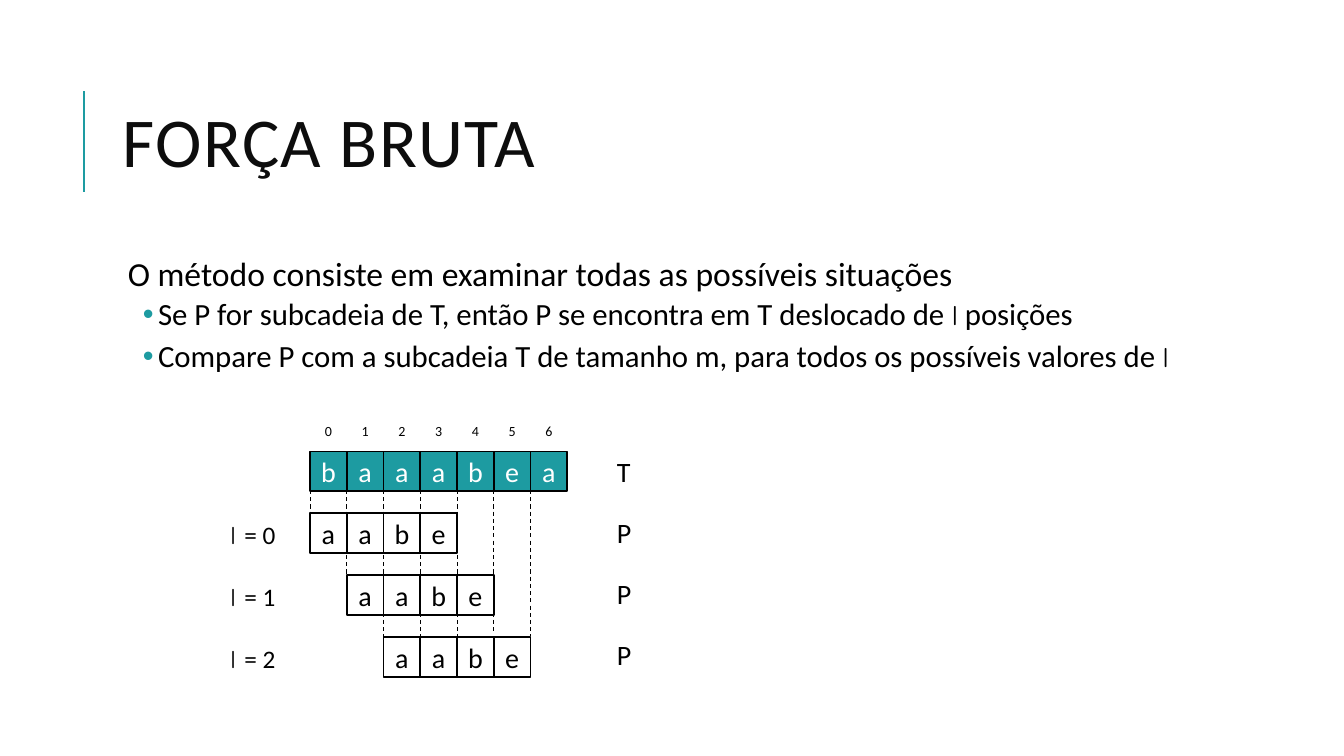
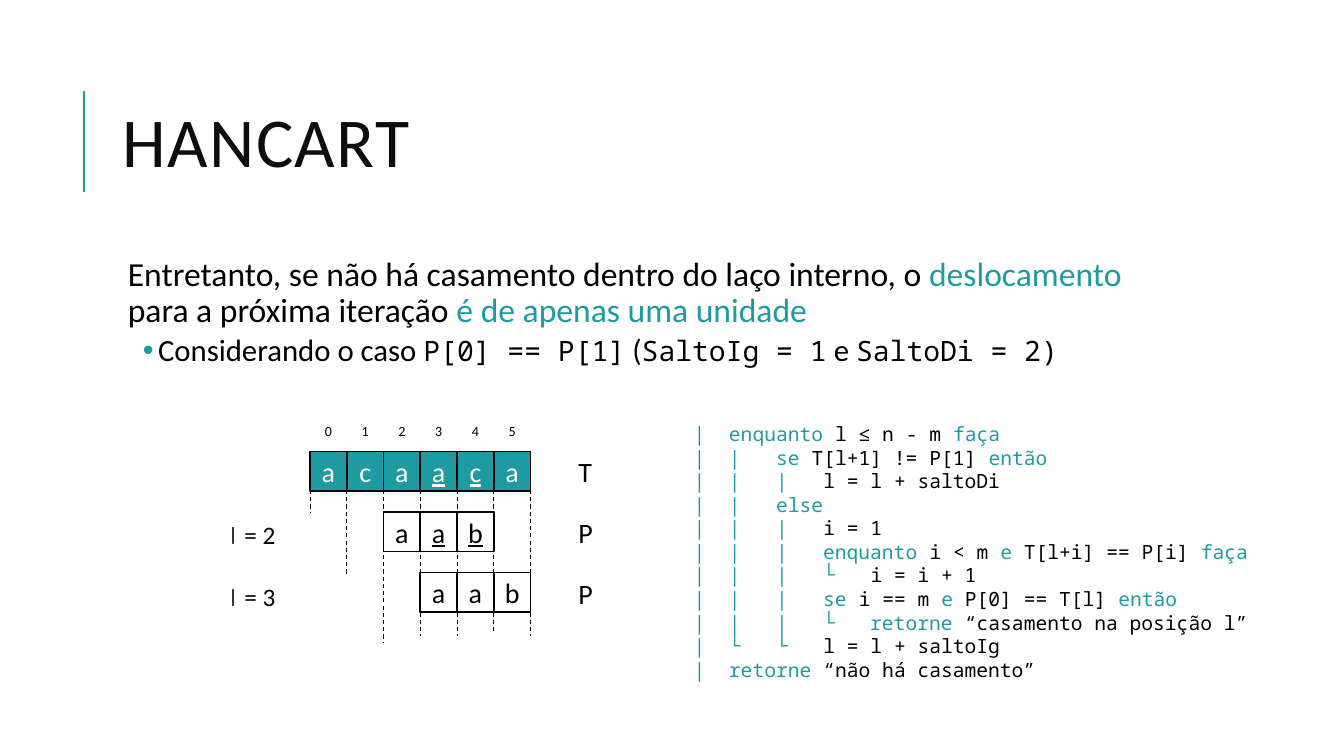
from dataclasses import dataclass

from lxml.etree import SubElement
from pptx import Presentation
from pptx.dml.color import RGBColor
from pptx.enum.dml import MSO_LINE
from pptx.enum.shapes import MSO_CONNECTOR, MSO_SHAPE
from pptx.enum.text import MSO_ANCHOR, MSO_AUTO_SIZE, PP_ALIGN
from pptx.oxml.ns import qn
from pptx.util import Pt

# Colours and fonts
TEAL = RGBColor(0x1D, 0x9B, 0xA1)
BLACK = RGBColor(0, 0, 0)
TITLE_BLACK = RGBColor(0x0D, 0x0D, 0x0D)
WHITE = RGBColor(0xFF, 0xFF, 0xFF)
SANS, COMIC, MONO = "Calibri", "Comic Neue", "Noto Sans Mono"

# Styles of marked words
SHIFT_STYLE = dict(font=COMIC, size=20)
CODE_STYLE = dict(font=MONO, size=20)
ACCENT_STYLE = dict(color=TEAL)

# Diagram grid, in points
GRID_LEFT, GRID_TOP = 221.5, 322.5
COLUMN_PITCH = 26.25
CELL_HEIGHT = 28.25
GUIDE_TOP = 350
GUIDE_ENDS = (366.5, 411, 459.5, 454.5, 454.5, 453, 454.5)

CODE_LINES = (
    "~ |  enquanto~ l ≤ n - m ~faça",
    "~ |  |   se~ T[l+1] != P[1] ~então",
    "~ |  |   |   ~l = l + saltoDi",
    "~ |  |   else",
    "~ |  |   |   ~i = 1",
    "~ |  |   |   enquanto ~i < m ~e~ T[l+i] == P[i] ~faça",
    "~ |  |   |   └   ~i = i + 1",
    "~ |  |   |   se~ i == m ~e~ P[0] == T[l] ~então",
    "~ |  |   |   └   retorne~ “casamento na posição l”",
    "~ |  └   └   ~l = l + saltoIg",
    "~ |  retorne ~“não há casamento”",
)


@dataclass
class Row:
    letters: str
    shift: int = 0
    underlined: tuple = ()


# Text
def add_span(para, text, size=20, font=SANS, color=BLACK, underline=None, spacing=None):
    span = para.add_run()
    span.text = text
    span.font.size = Pt(size)
    span.font.name = font
    span.font.color.rgb = color
    span.font.underline = underline
    if spacing is not None:
        span.font._element.set("spc", str(spacing))


def add_marked_text(para, text, plain, marked):
    """Write text whose parts between tildes take the marked style."""
    for index, part in enumerate(text.split("~")):
        if part:
            add_span(para, part, **(plain | marked if index % 2 else plain))


def get_para(frame, index):
    return frame.add_paragraph() if index else frame.paragraphs[0]


def set_list_format(para, level):
    para.level = level
    properties = para._p.get_or_add_pPr()
    properties.set("marL", str(Pt(28.8 if level else 7.2)))
    properties.set("indent", str(Pt(-10.8 if level else 0)))
    para.line_spacing = 0.9
    para.space_before = Pt(2 if level else 0)
    para.space_after = Pt(4 if level else 2)
    if level:
        bullet_color = SubElement(properties, qn("a:buClr"))
        SubElement(bullet_color, qn("a:srgbClr"), val=str(TEAL))
        SubElement(properties, qn("a:buChar"), char="•")
    else:
        SubElement(properties, qn("a:buNone"))


def add_text_box(slide, left, top, width, height):
    box = slide.shapes.add_textbox(Pt(left), Pt(top), Pt(width), Pt(height))
    box.text_frame.word_wrap = True
    return box.text_frame


# Lines and cells
def add_line(slide, start, end, color, width, dash=None):
    line = slide.shapes.add_connector(
        MSO_CONNECTOR.STRAIGHT, *(Pt(value) for value in start + end))
    line.line.color.rgb = color
    line.line.width = Pt(width)
    if dash:
        line.line.dash_style = dash
    SubElement(line._element.spPr, qn("a:effectLst"))
    return line


def add_cell(slide, left, top, letter, fill, color, underline):
    cell = slide.shapes.add_shape(
        MSO_SHAPE.RECTANGLE, Pt(left), Pt(top), Pt(COLUMN_PITCH), Pt(CELL_HEIGHT))
    cell.shadow.inherit = False
    cell.fill.solid()
    cell.fill.fore_color.rgb = fill
    cell.line.color.rgb = BLACK
    cell.line.width = Pt(1.25)
    frame = cell.text_frame
    frame.margin_left = frame.margin_right = 0
    frame.margin_top = frame.margin_bottom = 0
    frame.vertical_anchor = MSO_ANCHOR.MIDDLE
    frame.paragraphs[0].alignment = PP_ALIGN.CENTER
    add_span(frame.paragraphs[0], letter, color=color, underline=underline)


# Matching diagram: text on top, shifted pattern below
def add_diagram(slide, rows, row_pitch, tag_left):
    for column, end in enumerate(GUIDE_ENDS):
        x = GRID_LEFT + column * COLUMN_PITCH
        add_line(slide, (x, GUIDE_TOP), (x, end), BLACK, 0.75, MSO_LINE.DASH)

    for column in range(len(rows[0].letters)):
        frame = add_text_box(
            slide, GRID_LEFT + column * COLUMN_PITCH, 298.5, COLUMN_PITCH, 19.5)
        frame.paragraphs[0].alignment = PP_ALIGN.CENTER
        add_span(frame.paragraphs[0], str(column), size=10)

    for index, row in enumerate(rows):
        fill, color = (WHITE, BLACK) if index else (TEAL, WHITE)
        for column, letter in enumerate(row.letters, row.shift):
            add_cell(slide, GRID_LEFT + column * COLUMN_PITCH,
                     GRID_TOP + index * row_pitch, letter, fill, color,
                     True if column in row.underlined else None)

        tag = add_text_box(slide, tag_left, 321 + index * 43.5, 40, 31.5)
        add_span(tag.paragraphs[0], "P" if index else "T")
        if index:
            label = add_text_box(slide, 157.5, 322.5 + index * 44.6, 60, 29)
            add_marked_text(label.paragraphs[0], f"~l ~= {row.shift}",
                            dict(size=18), dict(font=COMIC))


def add_code(slide):
    frame = add_text_box(slide, 480, 298, 480, 194)
    for index, line in enumerate(CODE_LINES):
        add_marked_text(get_para(frame, index), line,
                        dict(font=MONO, size=14), ACCENT_STYLE)


# Slide frame
def place(shape, left, top, width, height):
    shape.left, shape.top = Pt(left), Pt(top)
    shape.width, shape.height = Pt(width), Pt(height)


def set_up_layout(layout):
    place(layout.placeholders[0], 80.5, 46, 765.5, 118)
    place(layout.placeholders[1], 80.5, 180, 765.5, 317)


def add_slide(deck, title, body):
    slide = deck.slides.add_slide(deck.slide_layouts[1])
    frame = slide.shapes.title.text_frame
    frame.auto_size = MSO_AUTO_SIZE.NONE
    frame.vertical_anchor = MSO_ANCHOR.MIDDLE
    para = frame.paragraphs[0]
    para.alignment = PP_ALIGN.LEFT
    para.line_spacing = 0.8
    add_span(para, title, size=50, color=TITLE_BLACK, spacing=100)

    frame = slide.placeholders[1].text_frame
    frame.auto_size = MSO_AUTO_SIZE.NONE
    frame.margin_left = frame.margin_right = Pt(3.6)
    frame.margin_top = frame.margin_bottom = Pt(3.6)
    for index, (text, marked) in enumerate(body):
        para = get_para(frame, index)
        set_list_format(para, level=min(index, 1))
        add_marked_text(para, text, dict(size=22 if index else 24), marked)
    return slide


def main():
    deck = Presentation()
    deck.slide_width, deck.slide_height = Pt(960), Pt(540)
    layout = deck.slide_layouts[1]
    set_up_layout(layout)

    # Brute force
    slide = add_slide(deck, "FORÇA BRUTA", (
        ("O método consiste em examinar todas as possíveis situações", {}),
        ("Se P for subcadeia de T, então P se encontra em T deslocado de ~l~ posições",
         SHIFT_STYLE),
        ("Compare P com a subcadeia T de tamanho m, para todos os possíveis valores de ~l",
         SHIFT_STYLE),
    ))
    # The accent rule moves to the layout, so every slide shows it
    rule = add_line(slide, (60, 137), (60, 65), TEAL, 1.5)
    layout.shapes.element.append(rule._element)
    rows = [Row("baaabea")] + [Row("aabe", shift) for shift in range(3)]
    add_diagram(slide, rows, row_pitch=44.2, tag_left=433.5)

    # Hancart
    slide = add_slide(deck, "HANCART", (
        ("Entretanto, se não há casamento dentro do laço interno, o ~deslocamento~ "
         "para a próxima iteração ~é de apenas uma unidade", ACCENT_STYLE),
        ("Considerando o caso ~P[0] == P[1]~ (~SaltoIg = 1~ e ~SaltoDi = 2)", CODE_STYLE),
    ))
    rows = [Row("acaaca", underlined=(3, 4)), Row("aab", 2, (3, 4)), Row("aab", 3)]
    add_diagram(slide, rows, row_pitch=43.25, tag_left=406)
    add_code(slide)

    deck.save("out.pptx")


if __name__ == "__main__":
    main()
